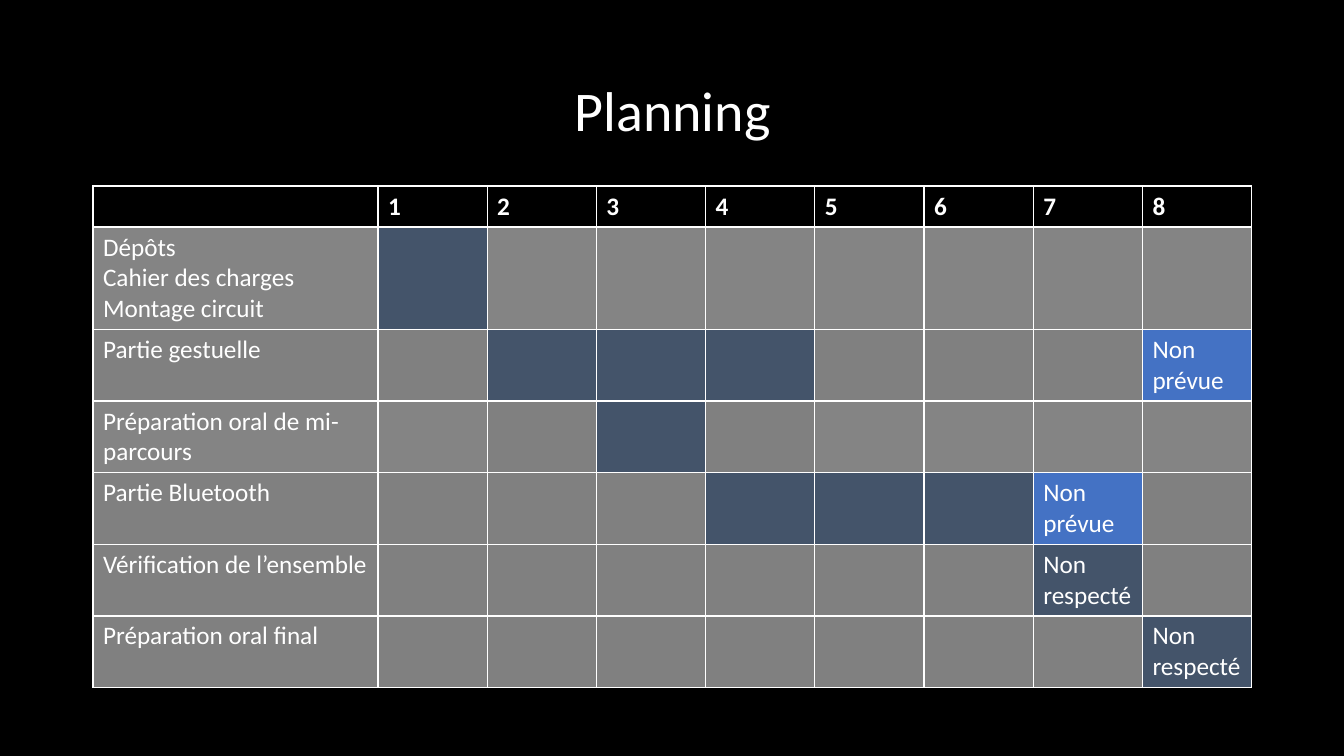
from dataclasses import dataclass

from lxml import etree
from pptx import Presentation
from pptx import util as u
from pptx.dml.color import RGBColor
from pptx.enum import text
from pptx.oxml.ns import qn

SCALE = 12192000 / 1344


@dataclass(frozen=True)
class Theme:
    """Colours, font and type sizes of the slide."""
    font: str = "Calibri"
    title_size: int = 40
    cell_size: int = 18
    black: str = "000000"
    white: str = "FFFFFF"
    light_gray: str = "848484"
    gray: str = "808080"
    planned: str = "44546A"
    unplanned: str = "4472C4"


THEME = Theme()
LEFT, WIDTH = 93, 1159
LABEL_WIDTH = 285
WEEKS = 8
ROW_HEIGHTS = [41, 102] + [71] * 5
FILLS = {"l": THEME.light_gray, "g": THEME.gray, "P": THEME.planned, "U": THEME.unplanned}
TASKS = [
    ("Dépôts\nCahier des charges\nMontage circuit", "lPlllllll", {}),
    ("Partie gestuelle", "ggPPPgggU", {8: "Non prévue"}),
    ("Préparation oral de mi-parcours", "llgPgllll", {}),
    ("Partie Bluetooth", "ggggPPPUg", {7: "Non prévue"}),
    ("Vérification de l’ensemble", "gggggggPg", {7: "Non respecté"}),
    ("Préparation oral final", "ggggggggP", {8: "Non respecté"}),
]


def px(length):
    """Turn pixels into EMU."""
    return u.Emu(round(length * SCALE))


def style_font(font, size, bold=False):
    """Apply the theme font in white."""
    font.name = THEME.font
    font.size = u.Pt(size)
    font.bold = bold
    font.color.rgb = RGBColor.from_string(THEME.white)


def add_title(slide, words):
    """Place and format the title placeholder."""
    title = slide.shapes.title
    title.left, title.top, title.width, title.height = px(LEFT), px(40), px(WIDTH), px(146)
    title.text_frame.text = words
    title.text_frame.vertical_anchor = text.MSO_ANCHOR.MIDDLE
    paragraph = title.text_frame.paragraphs[0]
    paragraph.alignment = text.PP_ALIGN.CENTER
    paragraph.line_spacing = 0.9
    style_font(paragraph.font, THEME.title_size)


def add_borders(cell):
    """Draw a thin white line on every side of a cell."""
    properties = cell._tc.get_or_add_tcPr()
    for index, side in enumerate(("a:lnL", "a:lnR", "a:lnT", "a:lnB")):
        line = etree.Element(qn(side), w=str(u.Pt(1)))
        fill = etree.SubElement(line, qn("a:solidFill"))
        etree.SubElement(fill, qn("a:srgbClr"), val=THEME.white)
        properties.insert(index, line)


def fill_cell(cell, words, color, bold=False):
    """Write, colour and border one cell."""
    cell.text = words
    for paragraph in cell.text_frame.paragraphs:
        style_font(paragraph.font, THEME.cell_size, bold)
    cell.fill.solid()
    cell.fill.fore_color.rgb = RGBColor.from_string(color)
    add_borders(cell)


def add_planning(slide):
    """Build the table of tasks by week."""
    frame = slide.shapes.add_table(
        len(TASKS) + 1, WEEKS + 1, px(LEFT), px(186), px(WIDTH), px(sum(ROW_HEIGHTS)))
    table = frame.table
    table.horz_banding = False
    for row, height in zip(table.rows, ROW_HEIGHTS):
        row.height = px(height)
    for index, column in enumerate(table.columns):
        column.width = px((WIDTH - LABEL_WIDTH) / WEEKS if index else LABEL_WIDTH)
    for week in range(WEEKS + 1):
        fill_cell(table.cell(0, week), str(week) if week else "", THEME.black, True)
    for row, (label, codes, remarks) in enumerate(TASKS, 1):
        words = {0: label, **remarks}
        for week, code in enumerate(codes):
            fill_cell(table.cell(row, week), words.get(week, ""), FILLS[code])


def main():
    """Create and save the planning slide."""
    presentation = Presentation()
    presentation.slide_width, presentation.slide_height = px(1344), px(756)
    slide = presentation.slides.add_slide(presentation.slide_layouts[5])
    slide.background.fill.solid()
    slide.background.fill.fore_color.rgb = RGBColor.from_string(THEME.black)
    add_title(slide, "Planning")
    add_planning(slide)
    presentation.save("out.pptx")


if __name__ == "__main__":
    main()
